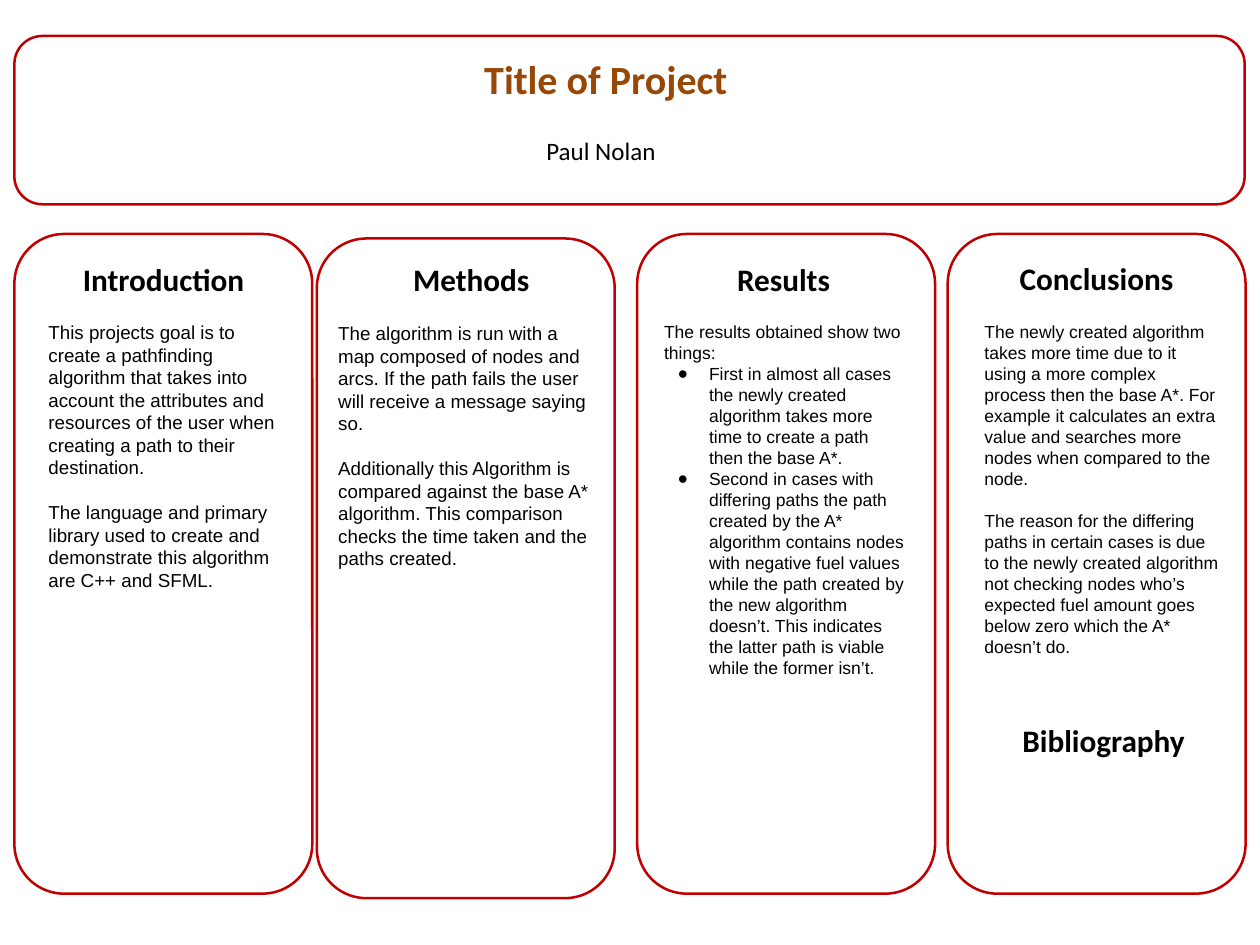
from pptx import Presentation
from pptx.dml.color import RGBColor
from pptx.enum.shapes import MSO_SHAPE as Preset
from pptx.oxml.ns import qn
from pptx.util import Inches, Pt
from lxml.etree import SubElement

COLORS = {"paper": "FFFFFF", "border": "C00000", "title": "974806", "ink": "000000"}
HEADING = {"name": "Calibri", "size": Pt(25), "bold": True}
TITLE = {"name": "Calibri", "size": Pt(32), "bold": True}
AUTHOR = {"name": "Calibri", "size": Pt(20)}
LARGE_BODY = {"name": "Arial", "size": Pt(15)}
SMALL_BODY = {"name": "Arial", "size": Pt(14)}
HEADING_INSETS = (0.14, 0.07)
BODY_INSETS = (0.1, 0.05)
COLUMN_SIZE = (3.31, 7.33)

COLUMNS = [
    {
        "corner": (0.16, 2.6),
        "headings": [("Introduction", (0.62, 0.22, 2.1, 0.56))],
        "body": (0.28, 0.92, 2.82, 6),
        "style": LARGE_BODY,
        "gap": Pt(18),
        "texts": [
            "This projects goal is to create a pathfinding algorithm that takes into account "
            "the attributes and resources of the user when creating a path to their destination.",
            "The language and primary library used to create and demonstrate this algorithm "
            "are C++ and SFML.",
        ],
    },
    {
        "corner": (3.52, 2.65),
        "headings": [("Methods", (0.93, 0.17, 1.59, 0.56))],
        "body": (0.14, 0.88, 3.01, 6.11),
        "style": LARGE_BODY,
        "gap": Pt(18),
        "texts": [
            "The algorithm is run with a map composed of nodes and arcs. If the path fails "
            "the user will receive a message saying so.",
            "Additionally this Algorithm is compared against the base A* algorithm. This "
            "comparison checks the time taken and the paths created.",
        ],
    },
    {
        "corner": (7.08, 2.6),
        "headings": [("Results", (0.97, 0.22, 1.33, 0.56))],
        "body": (0.2, 0.92, 2.88, 6.13),
        "style": SMALL_BODY,
        "gap": Pt(0),
        "texts": ["The results obtained show two things:"],
        "bullets": [
            "First in almost all cases the newly created algorithm takes more time to "
            "create a path then the base A*.",
            "Second in cases with differing paths the path created by the A* algorithm "
            "contains nodes with negative fuel values while the path created by the new "
            "algorithm doesn’t. This indicates the latter path is viable while the former isn’t.",
        ],
    },
    {
        "corner": (10.53, 2.6),
        "headings": [
            ("Conclusions", (0.66, 0.21, 1.99, 0.57)),
            ("Bibliography", (0.69, 5.34, 2.11, 0.56)),
        ],
        "body": (0.31, 0.92, 2.82, 4.43),
        "style": SMALL_BODY,
        "gap": Pt(16.8),
        "texts": [
            "The newly created algorithm takes more time due to it using a more complex "
            "process then the base A*. For example it calculates an extra value and searches "
            "more nodes when compared to the node.",
            "The reason for the differing paths in certain cases is due to the newly created "
            "algorithm not checking nodes who’s expected fuel amount goes below zero which "
            "the A* doesn’t do.",
        ],
    },
]


def color(name):
    return RGBColor.from_string(COLORS[name])


def set_all(target, values):
    for name, value in values.items():
        setattr(target, name, value)


def within(box, part):
    return box[0] + part[0], box[1] + part[1], part[2], part[3]


def add_panel(page, box):
    panel = page.shapes.add_shape(Preset.ROUNDED_RECTANGLE, *map(Inches, box))
    panel.shadow.inherit = False
    panel.fill.solid()
    panel.fill.fore_color.rgb = color("paper")
    panel.line.color.rgb = color("border")
    panel.line.width = Pt(2)


def add_frame(page, box, insets):
    frame = page.shapes.add_textbox(*map(Inches, box)).text_frame
    across, down = map(Inches, insets)
    set_all(frame, {
        "word_wrap": True,
        "margin_left": across, "margin_right": across,
        "margin_top": down, "margin_bottom": down,
    })
    return frame


def write(para, text, style, tint="ink"):
    span = para.add_run()
    span.text = text
    set_all(span.font, style)
    span.font.color.rgb = color(tint)


def add_heading(page, box, text, style=HEADING, tint="ink"):
    frame = add_frame(page, box, HEADING_INSETS)
    write(frame.paragraphs[0], text, style, tint)


def add_bullet(para):
    props = para._p.get_or_add_pPr()
    props.set("marL", str(Inches(0.5)))
    props.set("indent", str(Inches(-0.35)))
    tint = SubElement(props, qn("a:buClr"))
    SubElement(tint, qn("a:srgbClr"), val=COLORS["ink"])
    SubElement(props, qn("a:buFont"), typeface="Arial")
    SubElement(props, qn("a:buChar"), char="●")


def add_body(page, box, column):
    frame = add_frame(page, box, BODY_INSETS)
    texts = column["texts"]
    bullets = column.get("bullets", [])
    for index, text in enumerate(texts + bullets):
        para = frame.add_paragraph() if index else frame.paragraphs[0]
        if index:
            para.space_before = column["gap"]
        if index >= len(texts):
            add_bullet(para)
        write(para, text, column["style"])


def add_banner(page, box):
    add_panel(page, box)
    add_heading(page, within(box, (5.08, 0.14, 3.01, 0.68)), "Title of Project", TITLE, "title")
    add_heading(page, within(box, (5.77, 1.03, 1.99, 0.48)), "Paul Nolan", AUTHOR)


def add_column(page, box, column):
    add_panel(page, box)
    for text, part in column["headings"]:
        add_heading(page, within(box, part), text)
    add_body(page, within(box, column["body"]), column)


def main():
    deck = Presentation()
    set_all(deck, {"slide_width": Inches(14), "slide_height": Inches(10.5)})
    page = deck.slides.add_slide(deck.slide_layouts[6])
    add_banner(page, (0.16, 0.4, 13.67, 1.87))
    for column in COLUMNS:
        add_column(page, column["corner"] + COLUMN_SIZE, column)
    deck.save("out.pptx")


if __name__ == "__main__":
    main()
